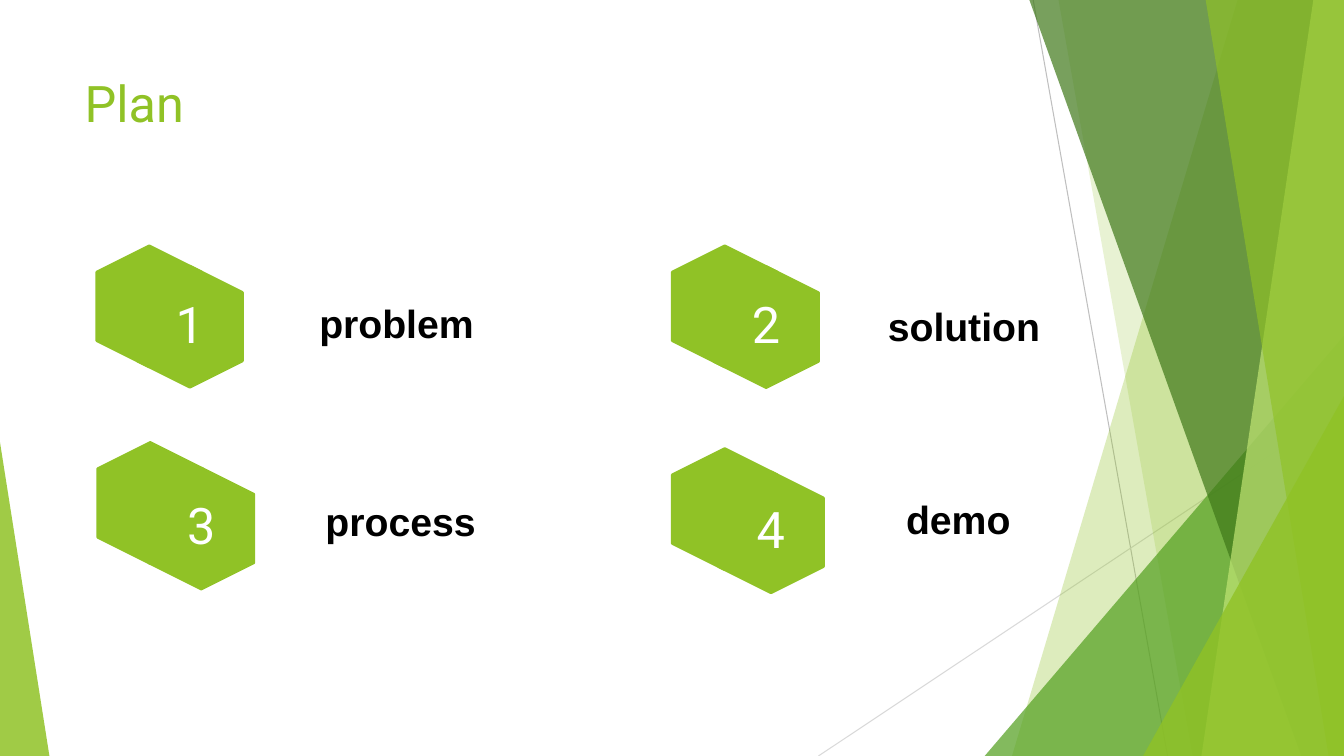
import pptx
import pptx.util
import pptx.dml.color
import pptx.enum.shapes
import pptx.enum.text
import pptx.oxml
import pptx.oxml.ns

Pt = pptx.util.Pt
KIND = pptx.enum.shapes.MSO_SHAPE
ANCHOR = pptx.enum.text.MSO_ANCHOR
ALIGN = pptx.enum.text.PP_ALIGN
FIT = pptx.enum.text.MSO_AUTO_SIZE
WIDE, HIGH = 960, 540
LIME = "90C226"
HEX_W, HEX_H = 86.4, 75


def rgb(code):
    return pptx.dml.color.RGBColor.from_string(code)


def paint(shape, code, alpha=100):
    shape.shadow.inherit = False
    shape.fill.solid()
    shape.fill.fore_color.rgb = rgb(code)
    if alpha < 100:
        tag = shape.fill._xPr.find(".//" + pptx.oxml.ns.qn("a:srgbClr"))
        tag.append(pptx.oxml.parse_xml(
            f'<a:alpha {pptx.oxml.ns.nsdecls("a")} val="{alpha * 1000}"/>'))
    shape.line.fill.background()


def style(para, size, font, code, bold=False):
    para.font.size = Pt(size)
    para.font.name = font
    para.font.bold = bold
    para.font.color.rgb = rgb(code)


def add_line(slide, start, end, code):
    line = slide.shapes.add_connector(
        pptx.enum.shapes.MSO_CONNECTOR.STRAIGHT, *map(Pt, start + end))
    line.line.color.rgb = rgb(code)
    line.line.width = Pt(0.75)
    line._element.spPr.append(pptx.oxml.parse_xml(
        f'<a:effectLst {pptx.oxml.ns.nsdecls("a")}/>'))


def add_band(slide, top_x, foot_x, code, alpha):
    """Fill from a slanted left edge to the right side of the slide."""
    pen = slide.shapes.build_freeform(Pt(top_x), Pt(-0.6))
    pen.add_line_segments([(Pt(x), Pt(y)) for x, y in (
        (WIDE, -0.6), (WIDE, HIGH), (foot_x, HIGH))], close=True)
    paint(pen.convert_to_shape(), code, alpha)


def add_peak(slide, left, top, width, tip, code, alpha):
    """Triangle standing on the foot of the slide, its tip at a share of the width."""
    peak = slide.shapes.add_shape(
        KIND.ISOSCELES_TRIANGLE, Pt(left), Pt(top), Pt(width), Pt(HIGH - top))
    peak.adjustments[0] = tip
    paint(peak, code, alpha)


def add_decor(slide):
    add_line(slide, (738, 0), (834, HIGH), "BFBFBF")
    add_line(slide, (WIDE, 290), (584.6, HIGH), "D9D9D9")
    add_band(slide, 884.2, 722.9, LIME, 30)
    add_band(slide, 756, 851.8, LIME, 20)
    add_peak(slide, 703.4, 239.8, 256.6, 1, "54A021", 72)
    add_band(slide, 735.1, 929.5, "3F7819", 70)
    add_band(slide, 938.2, 858.2, "C0E474", 70)
    add_band(slide, 861.1, 949, LIME, 65)
    add_peak(slide, 816.5, 283, 143.5, 1, LIME, 80)
    add_peak(slide, 0, 316, 35.3, 0, LIME, 85)


def add_title(slide, left, top, width, height):
    title = slide.shapes.title
    title.left, title.top = Pt(left), Pt(top)
    title.width, title.height = Pt(width), Pt(height)
    frame = title.text_frame
    frame.text = "Plan"
    frame.vertical_anchor = ANCHOR.TOP
    frame.auto_size = FIT.NONE
    para = frame.paragraphs[0]
    para.alignment = ALIGN.LEFT
    style(para, 36, "Roboto", LIME)


def add_badge(slide, num, left, top, step):
    """Two overlapping hexagons, the front one shifted by step, with a number."""
    front = left + step, top + step / 2
    for x, y in ((left, top), front):
        cell = slide.shapes.add_shape(
            KIND.HEXAGON, Pt(x), Pt(y), Pt(HEX_W), Pt(HEX_H))
        cell.rotation = 90
        cell.adjustments[0] = 0.25
        paint(cell, LIME)
        cell.line.color.rgb = rgb(LIME)
        cell.line.width = Pt(2)
    wide, high = 52, 59
    box = slide.shapes.add_textbox(
        Pt(front[0] + (HEX_W - wide) / 2), Pt(front[1] + (HEX_H - high) / 2),
        Pt(wide), Pt(high))
    frame = box.text_frame
    frame.word_wrap = True
    frame.vertical_anchor = ANCHOR.MIDDLE
    frame.margin_left = frame.margin_right = 0
    frame.margin_top = frame.margin_bottom = 0
    frame.text = str(num)
    para = frame.paragraphs[0]
    para.alignment = ALIGN.CENTER
    para.line_spacing = 0.9
    style(para, 36, "Roboto", "FFFFFF")


def add_label(slide, text, left, top, width, wrap):
    frame = slide.shapes.add_textbox(
        Pt(left), Pt(top), Pt(width), Pt(41)).text_frame
    frame.word_wrap = wrap
    frame.auto_size = FIT.SHAPE_TO_FIT_TEXT
    frame.text = text
    style(frame.paragraphs[0], 28, "Arial", "000000", True)


def main():
    deck = pptx.Presentation()
    deck.slide_width, deck.slide_height = Pt(WIDE), Pt(HIGH)
    slide = deck.slides.add_slide(deck.slide_layouts[5])
    add_decor(slide)
    add_title(slide, 53.3, 48.2, 676.8, 103.7)
    badges = [(63.4, 181.4, 29), (474.5, 181.4, 29.5),
              (64.1, 321.8, 36.5), (474.5, 326.2, 33)]
    labels = [("problem", 221, 210.2, 136.8, True),
              ("solution", 627.1, 212.4, 136.8, True),
              ("process", 225.4, 351.4, 123.1, False),
              ("demo", 640.1, 349.9, 90, False)]
    for num, badge in enumerate(badges, 1):
        add_badge(slide, num, *badge)
    for label in labels:
        add_label(slide, *label)
    deck.save("out.pptx")


if __name__ == "__main__":
    main()
